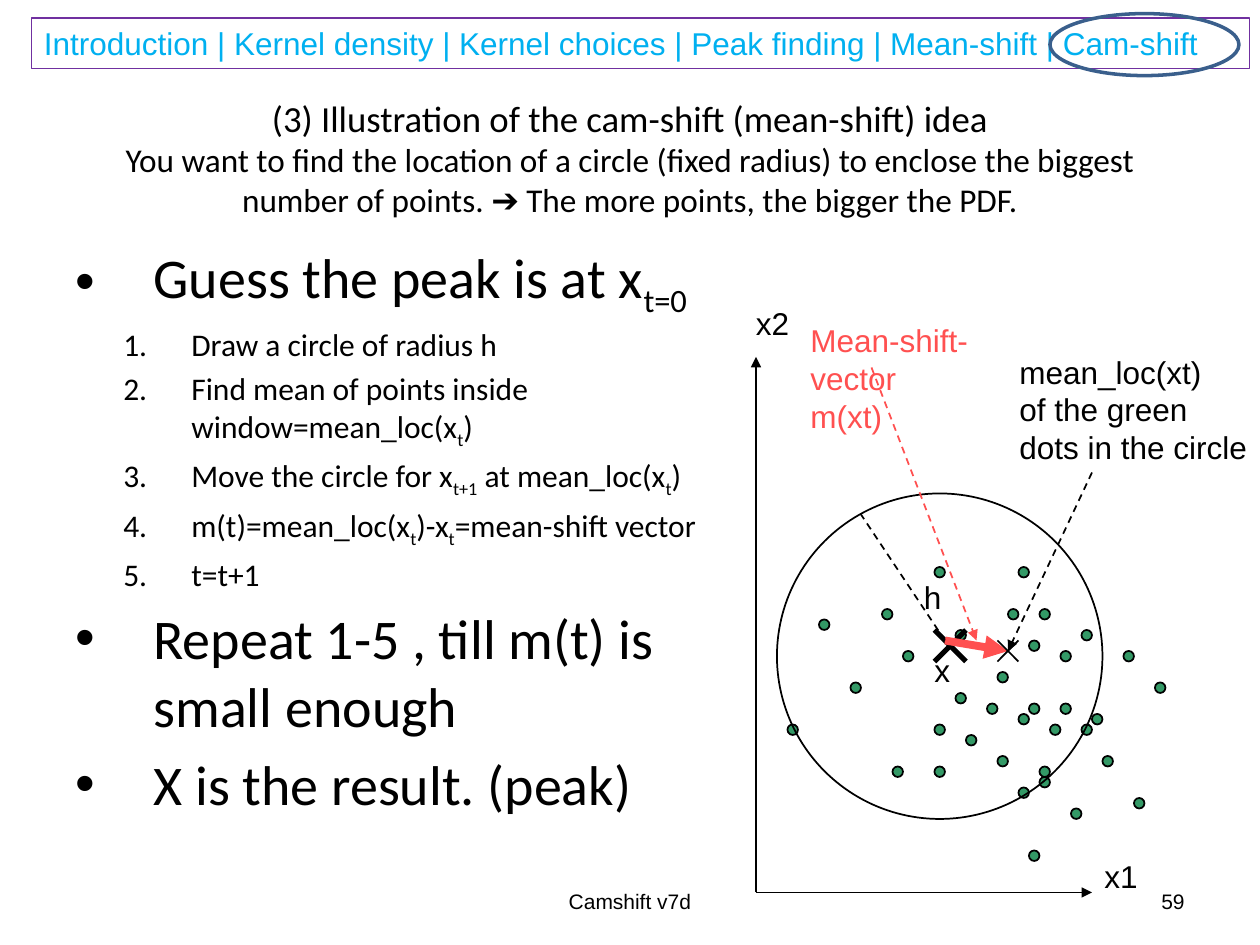
"""Build the slide on the cam-shift idea, on a grid of twelve cells to the inch."""
import pptx
import pptx.util
import pptx.dml.color
import pptx.enum.dml
import pptx.enum.shapes
import pptx.enum.text
import pptx.oxml.ns
import lxml.etree

Shape = pptx.enum.shapes.MSO_SHAPE
Align = pptx.enum.text.PP_ALIGN
Anchor = pptx.enum.text.MSO_ANCHOR
BLACK, RED, GREEN = "000000", "FF5050", "339966"


def cell(count):
    return pptx.util.Inches(count / 12)


def paint(hue):
    return pptx.dml.color.RGBColor.from_string(hue)


def add_xml(parent, tag, **attrs):
    return lxml.etree.SubElement(parent, pptx.oxml.ns.qn(tag), attrs)


def write(par, text, size=18, font="Arial", hue=BLACK, align=Align.LEFT, before=0):
    par.alignment = align
    par.space_before = pptx.util.Pt(before)
    for index, part in enumerate(text.split("~")):
        if part:
            run = par.add_run()
            run.text = part
            run.font.size = pptx.util.Pt(size)
            run.font.name = font
            run.font.color.rgb = paint(hue)
            if index % 2:
                run.font._element.set("baseline", "-25000")


def mark(par, left, hang, number=False):
    props = par._p.get_or_add_pPr()
    props.set("marL", str(pptx.util.Inches(left)))
    props.set("indent", str(-pptx.util.Inches(hang)))
    if number:
        par.level = 1
        add_xml(props, "a:buFont", typeface="+mj-lt")
        add_xml(props, "a:buAutoNum", type="arabicPeriod")
    else:
        add_xml(props, "a:buFont", typeface="Arial")
        add_xml(props, "a:buChar", char="•")


class Board:
    def __init__(self, deck):
        self.slide = deck.slides.add_slide(deck.slide_layouts[5])
        self.shapes = self.slide.shapes

    def title(self, box, head, rest):
        shape = self.shapes.title
        shape.left, shape.top, shape.width, shape.height = map(cell, box)
        frame = shape.text_frame
        frame.word_wrap = True
        frame.auto_size = pptx.enum.text.MSO_AUTO_SIZE.NONE
        frame.vertical_anchor = Anchor.MIDDLE
        par = frame.paragraphs[0]
        write(par, head, size=21, font="Calibri", align=Align.CENTER)
        par.add_line_break()
        write(par, rest, size=19, font="Calibri", align=Align.CENTER)

    def frame(self, box, wrap=False, anchor=Anchor.TOP):
        frame = self.shapes.add_textbox(*map(cell, box)).text_frame
        frame.word_wrap = wrap
        frame.vertical_anchor = anchor
        return frame

    def label(self, box, *lines, wrap=False, anchor=Anchor.TOP, **style):
        frame = self.frame(box, wrap, anchor)
        for index, line in enumerate(lines):
            par = frame.add_paragraph() if index else frame.paragraphs[0]
            write(par, line, **style)

    def points(self, box, items):
        frame = self.frame(box, wrap=True)
        for index, (step, text) in enumerate(items):
            par = frame.add_paragraph() if index else frame.paragraphs[0]
            size = 18 if step else 32
            write(par, text, size=size, font="Calibri", before=size / 5)
            mark(par, *((0.92, 0.54, True) if step else (0.62, 0.62)))

    def shape(self, kind, box, fill=None, line=BLACK, width=1):
        shape = self.shapes.add_shape(kind, *map(cell, box))
        shape.shadow.inherit = False
        if fill:
            shape.fill.solid()
            shape.fill.fore_color.rgb = paint(fill)
        else:
            shape.fill.background()
        shape.line.color.rgb = paint(line)
        shape.line.width = pptx.util.Pt(width)
        return shape

    def line(self, start, end, hue=BLACK, width=1, dash=False, head=False):
        line = self.shapes.add_connector(
            pptx.enum.shapes.MSO_CONNECTOR.STRAIGHT, *map(cell, start + end))
        line.line.color.rgb = paint(hue)
        line.line.width = pptx.util.Pt(width)
        if dash:
            line.line.dash_style = pptx.enum.dml.MSO_LINE.DASH
        if head:
            add_xml(line.line._get_or_add_ln(), "a:tailEnd", type="triangle")
        add_xml(line._element.spPr, "a:effectLst")

    def cross(self, mid, half, width):
        col, row = mid
        for side in (half, -half):
            self.line((col - side, row - half), (col + side, row + half), width=width)


STEPS = [
    (False, "Guess the peak is at x~t=0~"),
    (True, "Draw a circle of radius h"),
    (True, "Find mean of points inside window=mean_loc(x~t~)"),
    (True, "Move the circle for x~t+1~ at mean_loc(x~t~)"),
    (True, "m(t)=mean_loc(x~t~)-x~t~=mean-shift vector"),
    (True, "t=t+1"),
    (False, "Repeat 1-5 , till m(t) is small enough"),
    (False, "X is the result. (peak)"),
]
DOTS = [
    (97, 54), (98, 61), (96, 58), (99, 58), (101, 62), (103, 60), (97, 68), (98, 67),
    (95, 64), (104, 68), (81, 65), (86, 62), (84, 58), (78, 59), (97, 75), (95, 72),
    (99, 73), (100, 69), (101, 67), (103, 69), (91, 66), (89, 54), (91, 60), (85, 73),
    (89, 69), (99, 74), (92, 70), (89, 73), (94, 67), (102, 77), (98, 81), (105, 72),
    (110, 65), (107, 62), (108, 76), (75, 69),
]


def main():
    deck = pptx.Presentation()
    deck.slide_width, deck.slide_height = cell(120), cell(90)
    board = Board(deck)

    bar = board.shape(Shape.RECTANGLE, (3, 1.7, 116, 4.85), line="7030A0", width=0.75)
    bar.text_frame.vertical_anchor = Anchor.TOP
    write(bar.text_frame.paragraphs[0],
          "Introduction | Kernel density | Kernel choices | Peak finding | Mean-shift | Cam-shift",
          hue="00B0F0")
    board.title((6, 7.5, 108, 15), "(3) Illustration of the cam-shift (mean-shift) idea",
                "You want to find the location of a circle (fixed radius) to enclose the biggest "
                "number of points. ➔ The more points, the bigger the PDF.")
    board.points((6, 22.5, 68, 57.8), STEPS)
    foot = {"wrap": True, "anchor": Anchor.MIDDLE, "size": 12}
    board.label((41, 83.4, 38, 4.8), "Camshift v7d", align=Align.CENTER, **foot)
    board.label((86, 83.4, 28, 4.8), "59", align=Align.RIGHT, **foot)

    for dot in DOTS:
        board.shape(Shape.OVAL, dot + (1, 1), fill=GREEN)
    board.shape(Shape.OVAL, (74, 47, 31, 31))
    start, mean, base = (90, 61), (96, 62), (72, 85)
    board.cross((90.5, 61.5), 1.5, 3)
    board.line(start, mean, hue=RED, width=4.5, head=True)
    board.line(start, (82, 49), dash=True)
    board.label((86.8, 54.5, 4.1, 4.8), "h")
    board.label((87.8, 61.4, 4, 4.8), "x")
    board.label((76, 30, 25.5, 8.4), "Mean-shift-vector", "m(xt)", hue=RED)
    board.line((83, 35), (93, 61), hue=RED, dash=True, head=True)
    board.label((95.9, 33, 24.1, 12), "mean_loc(xt)", "of the green", "dots in the circle")
    board.line((104, 45), mean, dash=True, head=True)
    board.cross(mean, 1, 1)
    for tip in ((104, 85), (72, 34)):
        board.line(base, tip, head=True)
    board.label((104, 81, 5.6, 4.8), "x1")
    board.label((70.8, 28.4, 5.6, 4.8), "x2")
    board.shape(Shape.OVAL, (100, 1.3, 18, 5.9), line="3A5F8C", width=2)
    deck.save("out.pptx")


if __name__ == "__main__":
    main()
